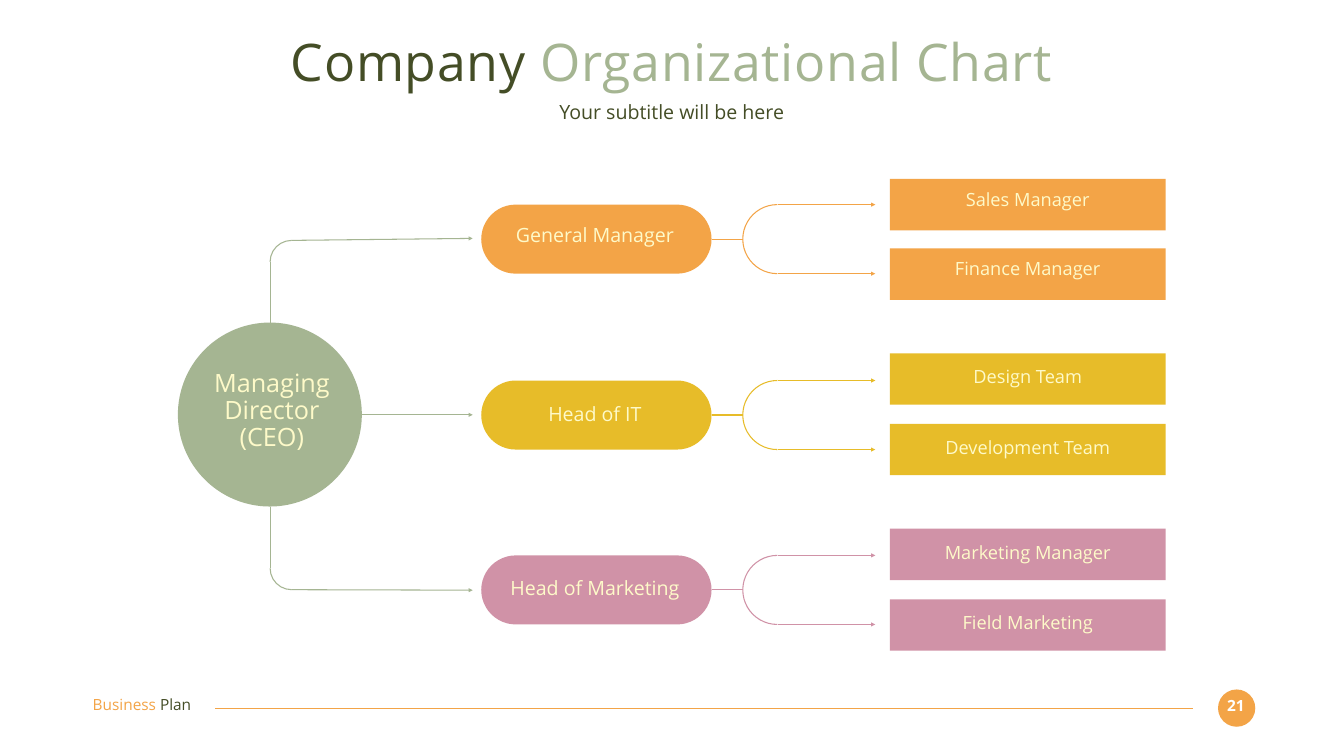
import pptx
import pptx.util
import pptx.dml.color
import pptx.enum.shapes
import pptx.enum.text
import lxml.etree

Inches = pptx.util.Inches
Pt = pptx.util.Pt
paint = pptx.dml.color.RGBColor.from_string
kinds = pptx.enum.shapes.MSO_SHAPE
align = pptx.enum.text.PP_ALIGN

GREEN, DARK, CREAM, WHITE = "A5B592", "444D26", "FEFAC9", "FFFFFF"
ORANGE, YELLOW, PINK = "F3A447", "E7BC29", "D092A7"

deck = pptx.Presentation()
deck.slide_width, deck.slide_height = Inches(26.67), Inches(15)
page = deck.slides.add_slide(deck.slide_layouts[6])


def write(area, paragraphs, size, alignment=align.CENTER, bold=False, spacing=0):
    box = page.shapes.add_textbox(*map(Inches, area))
    frame = box.text_frame
    frame_format = {"word_wrap": True, "margin_left": 0, "margin_right": 0,
                    "margin_top": 0, "margin_bottom": 0}
    for name, value in frame_format.items():
        setattr(frame, name, value)
    for index, spans in enumerate(paragraphs):
        para = frame.paragraphs[0] if index == 0 else frame.add_paragraph()
        para.alignment = alignment
        para.line_spacing = 0.9
        for text, color in spans:
            span = para.add_run()
            span.text = text
            for name, value in {"name": "Open Sans", "size": Pt(size), "bold": bold}.items():
                setattr(span.font, name, value)
            span.font.color.rgb = paint(color)
            if spacing:
                span.font._element.set("spc", str(spacing * 100))


def connect(start, end, color, arrow=False):
    line = page.shapes.add_connector(
        pptx.enum.shapes.MSO_CONNECTOR.STRAIGHT, *map(Inches, start + end))
    line.line.color.rgb = paint(color)
    line.line.width = Pt(1.5)
    if arrow:
        head = lxml.etree.SubElement(line.line._get_or_add_ln(), pptx.oxml.ns.qn("a:headEnd"))
        head.set("type", "triangle")
    lxml.etree.SubElement(line._element.spPr, pptx.oxml.ns.qn("a:effectLst"))


branches = [
    (ORANGE, 4.06, "General Manager", 4.47,
     [("Sales Manager", 3.55, 3.79), ("Finance Manager", 4.93, 5.15)]),
    (YELLOW, 7.55, "Head of IT", 8.02,
     [("Design Team", 7.01, 7.3), ("Development Team", 8.41, 8.7)]),
    (PINK, 11.02, "Head of Marketing", 11.47,
     [("Marketing Manager", 10.49, 10.78), ("Field Marketing", 11.89, 12.17)]),
]
pill_height = 1.37

solids = [(kinds.OVAL, (24.17, 13.68, 0.74, 0.74), ORANGE),
          (kinds.OVAL, (3.53, 6.4, 3.65, 3.65), GREEN)]
for color, top, role, role_top, teams in branches:
    solids.append((kinds.ROUNDED_RECTANGLE, (9.55, top, 4.57, pill_height), color))
    solids += [(kinds.RECTANGLE, (17.66, team_top, 5.47, 1.02), color)
               for team, team_top, label_top in teams]
for kind, area, color in solids:
    solid = page.shapes.add_shape(kind, *map(Inches, area))
    solid.shadow.inherit = False
    solid.fill.solid()
    solid.fill.fore_color.rgb = paint(color)
    solid.line.fill.background()
    if kind == kinds.ROUNDED_RECTANGLE:
        solid.adjustments[0] = 0.5

arcs = [((5.36, 4.77, 0.85, 0.85), GREEN, 0, 0),
        ((5.36, 10.85, 0.85, 0.85), GREEN, 0, 180)]
arcs += [((14.74, branch[1], pill_height, pill_height), branch[0], 54, 0)
         for branch in branches]
for area, color, end_angle, rotation in arcs:
    arc = page.shapes.add_shape(kinds.ARC, *map(Inches, area))
    arc.shadow.inherit = False
    arc.fill.background()
    arc.line.color.rgb = paint(color)
    arc.line.width = Pt(1.5)
    arc.adjustments[0] = 162
    arc.adjustments[1] = end_angle
    if rotation:
        arc.rotation = rotation
    else:
        arc._element.spPr.get_or_add_xfrm().set("flipH", "1")

connect((5.36, 6.4), (5.36, 5.19), GREEN)
connect((5.36, 10.06), (5.36, 11.27), GREEN)
connect((9.38, 4.73), (5.78, 4.77), GREEN, True)
connect((9.38, 8.23), (7.19, 8.23), GREEN, True)
connect((9.38, 11.71), (5.78, 11.7), GREEN, True)

for color, top, role, role_top, teams in branches:
    middle = top + pill_height / 2
    connect((14.12, middle), (14.74, middle), color)
    for level in (top, top + pill_height):
        connect((17.37, level), (15.43, level), color, True)
    write((9.88, role_top, 3.85, 0.47), [[(role, CREAM)]], 28)
    for team, team_top, label_top in teams:
        write((18.47, label_top, 3.85, 0.44), [[(team, CREAM)]], 26)

write((3.72, 7.35, 3.35, 1.82), [[("Managing Director", CREAM)], [("(CEO)", CREAM)]], 36)
write((1.83, 0.73, 23, 1.27),
      [[("Company ", DARK), ("Organizational Chart", GREEN)]], 74, spacing=1)
write((1.83, 2.03, 23, 0.49), [[("Your subtitle will be here", DARK)]], 28)

connect((23.67, 14.05), (4.27, 14.05), ORANGE)
write((1.84, 13.84, 2.59, 0.37), [[("Business ", ORANGE), ("Plan", DARK)]], 22, align.LEFT)
write((24.23, 13.85, 0.59, 0.37), [[("21", WHITE)]], 22, bold=True)

deck.save("out.pptx")
